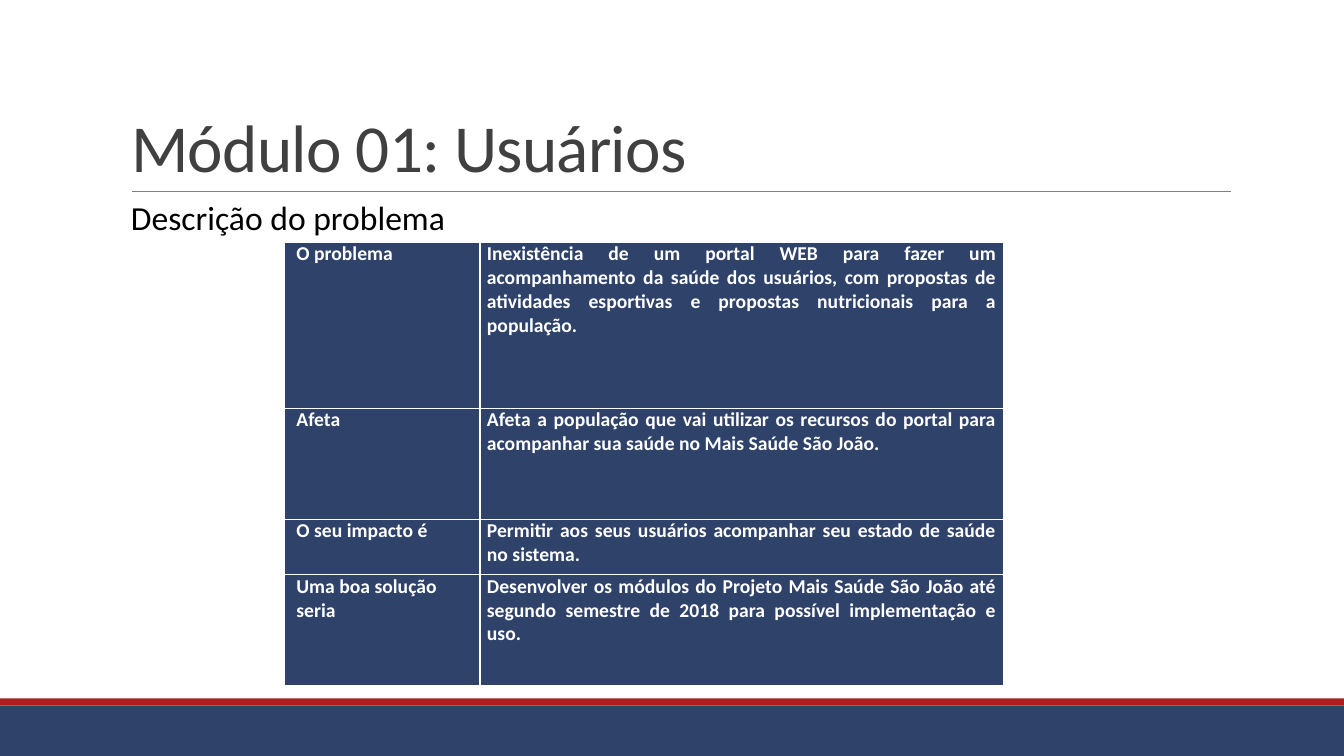
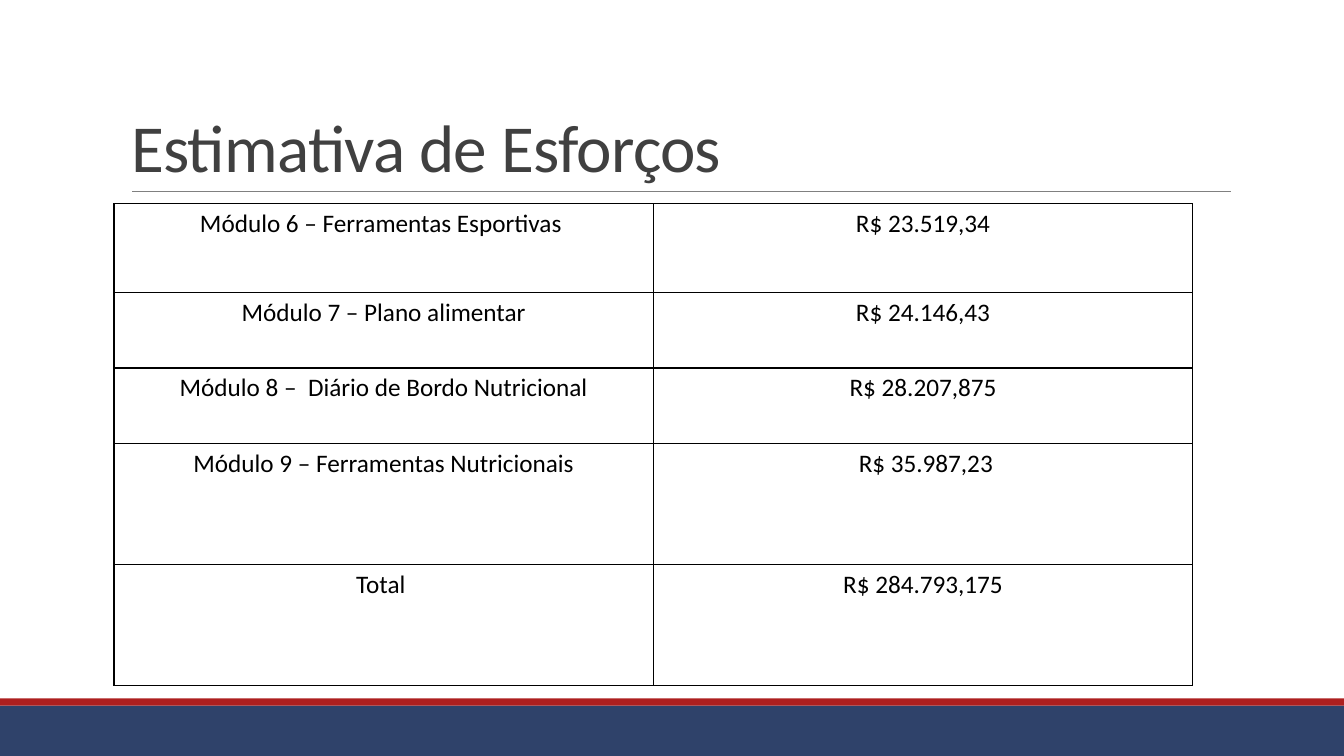
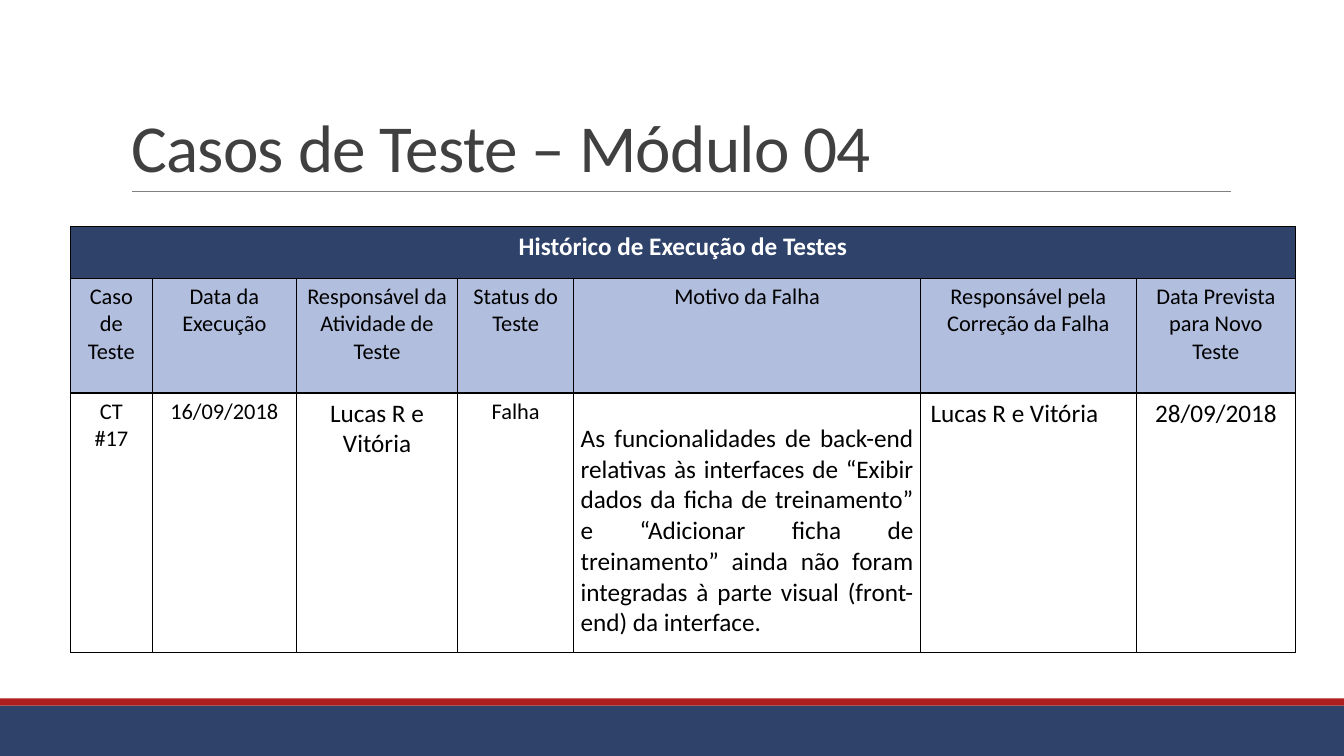
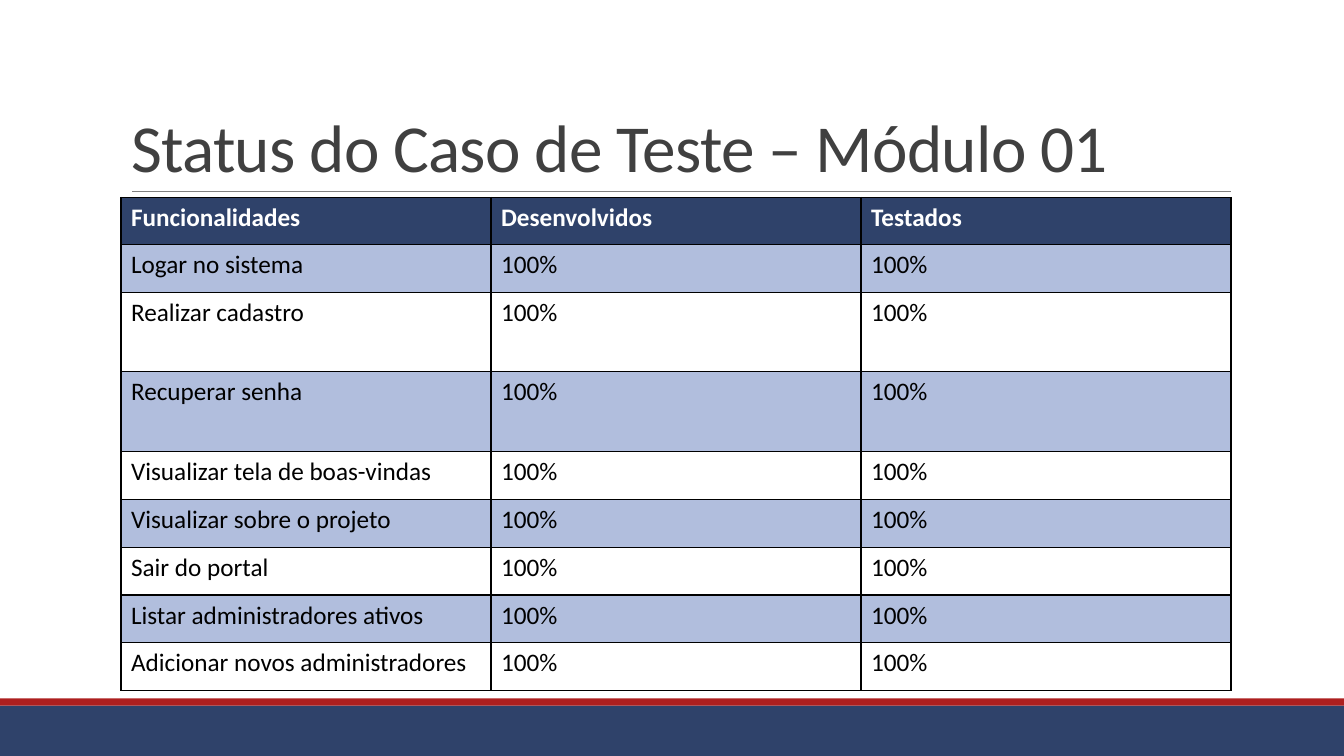
from dataclasses import dataclass, replace

from lxml import etree
from pptx import Presentation
from pptx.dml.color import RGBColor
from pptx.enum.shapes import MSO_CONNECTOR, MSO_SHAPE
from pptx.enum.text import MSO_ANCHOR, MSO_AUTO_SIZE, PP_ALIGN
from pptx.oxml.ns import qn
from pptx.util import Inches, Pt

LEFT, CENTER, JUSTIFY = PP_ALIGN.LEFT, PP_ALIGN.CENTER, PP_ALIGN.JUSTIFY
RECTANGLE, STRAIGHT = MSO_SHAPE.RECTANGLE, MSO_CONNECTOR.STRAIGHT
BOTTOM = MSO_ANCHOR.BOTTOM
NO_FIT, FIT_SHAPE = MSO_AUTO_SIZE.NONE, MSO_AUTO_SIZE.SHAPE_TO_FIT_TEXT

FONT = "Calibri"
NAVY, RED, PALE_BLUE = "2F426A", "AD1F1F", "B1BEDD"
WHITE, BLACK, DARK_GREY, GREY = "FFFFFF", "000000", "404040", "808080"
TITLE_ONLY = 5
SLIDE_WIDTH, SLIDE_HEIGHT = 13.33, 7.5


@dataclass(frozen=True)
class Band:
    top: float
    height: float
    fill: str


@dataclass(frozen=True)
class Cell:
    text: str
    fill: str = WHITE
    color: str = BLACK
    size: float = 18
    bold: bool = False
    alignment: PP_ALIGN = LEFT
    space_after: float = 0
    # left, top, right, bottom
    margins: tuple[float, float, float, float] = (0.1, 0.05, 0.1, 0.05)


@dataclass(frozen=True)
class Table:
    left: float
    top: float
    columns: list[float]
    heights: list[float]
    rows: list[list[Cell]]
    border: str = BLACK


BANDS = [Band(7, 0.5, NAVY), Band(6.93, 0.07, RED)]


def rgb(value: str) -> RGBColor:
    return RGBColor.from_string(value)


def write_text(frame, text: str, *, size: float, color: str, bold: bool = False,
               alignment=LEFT, space_after: float = 0,
               line_spacing: float | None = None, tracking: float = 0) -> None:
    paragraph = frame.paragraphs[0]
    paragraph.alignment = alignment
    paragraph.space_after = Pt(space_after)
    if line_spacing:
        paragraph.line_spacing = line_spacing
    run = paragraph.add_run()
    run.text = text
    run.font.name, run.font.size, run.font.bold = FONT, Pt(size), bold
    run.font.color.rgb = rgb(color)
    if tracking:
        run._r.get_or_add_rPr().set("spc", str(int(tracking * 100)))


def add_band(slide, band: Band):
    shape = slide.shapes.add_shape(RECTANGLE, 0, Inches(band.top),
                                   Inches(SLIDE_WIDTH), Inches(band.height))
    shape.shadow.inherit = False
    shape.fill.solid()
    shape.fill.fore_color.rgb = rgb(band.fill)
    shape.line.fill.background()
    return shape


def add_title_rule(slide):
    rule = slide.shapes.add_connector(STRAIGHT, Inches(1.31), Inches(1.9),
                                      Inches(12.21), Inches(1.9))
    rule.line.color.rgb = rgb(GREY)
    rule.line.width = Pt(0.5)
    etree.SubElement(rule.element.spPr, qn("a:effectLst"))
    return rule


def decorate_layout(layout, slide) -> None:
    """Draw the shared bands and rule, then move them to the layout."""
    for placeholder in list(layout.placeholders):
        if placeholder.placeholder_format.idx:
            placeholder.element.getparent().remove(placeholder.element)
    parts = [add_band(slide, band) for band in BANDS] + [add_title_rule(slide)]
    for position, part in enumerate(parts, start=2):
        layout.shapes.element.insert(position, part.element)


def add_title(slide, text: str) -> None:
    title = slide.shapes.title
    title.left, title.top = Inches(1.2), Inches(0.31)
    title.width, title.height = Inches(11), Inches(1.59)
    frame = title.text_frame
    frame.vertical_anchor, frame.auto_size = BOTTOM, NO_FIT
    write_text(frame, text, size=48, color=DARK_GREY, line_spacing=0.85, tracking=-0.5)


def add_subtitle(slide, text: str) -> None:
    box = slide.shapes.add_textbox(Inches(1.2), Inches(1.9), Inches(3.35), Inches(0.5))
    box.text_frame.word_wrap = False
    box.text_frame.auto_size = FIT_SHAPE
    write_text(box.text_frame, text, size=24, color=BLACK)


def set_borders(cell, color: str) -> None:
    properties = cell._tc.get_or_add_tcPr()
    for position, side in enumerate(("lnL", "lnR", "lnT", "lnB")):
        line = etree.Element(qn(f"a:{side}"), w=str(Pt(1)))
        fill = etree.SubElement(line, qn("a:solidFill"))
        etree.SubElement(fill, qn("a:srgbClr"), val=color)
        properties.insert(position, line)


def add_table(slide, spec: Table) -> None:
    """Draw a table; a row with a single cell spans every column."""
    table = slide.shapes.add_table(
        len(spec.heights), len(spec.columns), Inches(spec.left), Inches(spec.top),
        Inches(sum(spec.columns)), Inches(sum(spec.heights))).table
    table.first_row = table.horz_banding = False
    for column, width in zip(table.columns, spec.columns):
        column.width = Inches(width)
    for row, height, contents in zip(table.rows, spec.heights, spec.rows):
        row.height = Inches(height)
        cells = list(row.cells)
        for cell in cells:
            set_borders(cell, spec.border)
        if len(contents) == 1:
            cells[0].merge(cells[-1])
        for cell, content in zip(cells, contents):
            cell.fill.solid()
            cell.fill.fore_color.rgb = rgb(content.fill)
            (cell.margin_left, cell.margin_top,
             cell.margin_right, cell.margin_bottom) = map(Inches, content.margins)
            write_text(cell.text_frame, content.text, size=content.size,
                       color=content.color, bold=content.bold,
                       alignment=content.alignment, space_after=content.space_after)


def problem_table() -> Table:
    label = Cell("", NAVY, WHITE, 14, True, space_after=6, margins=(0.12, 0, 0.07, 0))
    detail = replace(label, alignment=JUSTIFY, margins=(0.07, 0, 0.07, 0))
    problems = [
        ("O problema", "Inexistência de um portal WEB para fazer um acompanhamento da "
         "saúde dos usuários, com propostas de atividades esportivas e propostas "
         "nutricionais para a população."),
        ("Afeta", "Afeta a população que vai utilizar os recursos do portal para "
         "acompanhar sua saúde no Mais Saúde São João."),
        ("O seu impacto é", "Permitir aos seus usuários acompanhar seu estado de saúde "
         "no sistema."),
        ("Uma boa solução seria", "Desenvolver os módulos do Projeto Mais Saúde São João "
         "até segundo semestre de 2018 para possível implementação e uso."),
    ]
    rows = [[replace(label, text=name), replace(detail, text=text)]
            for name, text in problems]
    return Table(2.82, 2.4, [1.94, 5.19], [1.65, 1.1, 0.55, 1.1], rows, WHITE)


def cost_table() -> Table:
    costs = [
        ("Módulo 6 – Ferramentas Esportivas ", "R$ 23.519,34"),
        ("Módulo 7 – Plano alimentar", "R$ 24.146,43"),
        ("Módulo 8 –  Diário de Bordo Nutricional", "R$ 28.207,875"),
        ("Módulo 9 – Ferramentas Nutricionais", " R$ 35.987,23"),
        ("Total ", "R$ 284.793,175"),
    ]
    rows = [[Cell(text, alignment=CENTER) for text in cost] for cost in costs]
    return Table(1.13, 2.02, [5.35] * 2, [0.88, 0.75, 0.75, 1.2, 1.2], rows)


def history_table() -> Table:
    headings = ["Caso de Teste", "Data da Execução", "Responsável da Atividade de Teste",
                "Status do Teste", "Motivo da Falha", "Responsável pela Correção da Falha",
                "Data Prevista para Novo Teste"]
    small = Cell("", size=16, alignment=CENTER)
    large = replace(small, size=18)
    reason = ("As funcionalidades de back-end relativas às interfaces de “Exibir dados da "
              "ficha de treinamento” e “Adicionar ficha de treinamento” ainda não foram "
              "integradas à parte visual (front-end) da interface.")
    rows = [
        [Cell("Histórico de Execução de Testes", NAVY, WHITE, bold=True, alignment=CENTER)],
        [replace(small, text=heading, fill=PALE_BLUE) for heading in headings],
        [replace(small, text="CT #17"),
         replace(small, text="16/09/2018"),
         replace(large, text="Lucas R e Vitória"),
         replace(small, text="Falha"),
         replace(large, text=reason, alignment=JUSTIFY, margins=(0.07, 0.3, 0.07, 0)),
         replace(large, text="Lucas R e Vitória", alignment=JUSTIFY),
         replace(large, text="28/09/2018")],
    ]
    return Table(0.7, 2.25, [0.81, 1.43, 1.6, 1.15, 3.44, 2.14, 1.58],
                 [0.51, 1.14, 2.57], rows)


def status_table() -> Table:
    features = ["Logar no sistema", "Realizar cadastro", "Recuperar senha",
                "Visualizar tela de boas-vindas", "Visualizar sobre o projeto",
                "Sair do portal", "Listar administradores ativos",
                "Adicionar novos administradores"]
    rows = [[Cell(heading, NAVY, WHITE, bold=True)
             for heading in ("Funcionalidades", "Desenvolvidos", "Testados")]]
    for index, feature in enumerate(features):
        fill = WHITE if index % 2 else PALE_BLUE
        rows.append([Cell(text, fill) for text in (feature, "100%", "100%")])
    heights = [0.47] * 2 + [0.79] * 2 + [0.475] * 5
    return Table(1.2, 1.96, [3.67] * 3, heights, rows)


def main() -> None:
    presentation = Presentation()
    presentation.slide_width = Inches(SLIDE_WIDTH)
    presentation.slide_height = Inches(SLIDE_HEIGHT)
    layout = presentation.slide_layouts[TITLE_ONLY]
    contents = [
        ("Módulo 01: Usuários", problem_table()),
        ("Estimativa de Esforços", cost_table()),
        ("Casos de Teste – Módulo 04", history_table()),
        ("Status do Caso de Teste – Módulo 01", status_table()),
    ]
    slides = []
    for title, table in contents:
        slide = presentation.slides.add_slide(layout)
        add_title(slide, title)
        add_table(slide, table)
        slides.append(slide)
    add_subtitle(slides[0], "Descrição do problema")
    decorate_layout(layout, slides[0])
    presentation.save("out.pptx")


if __name__ == "__main__":
    main()
